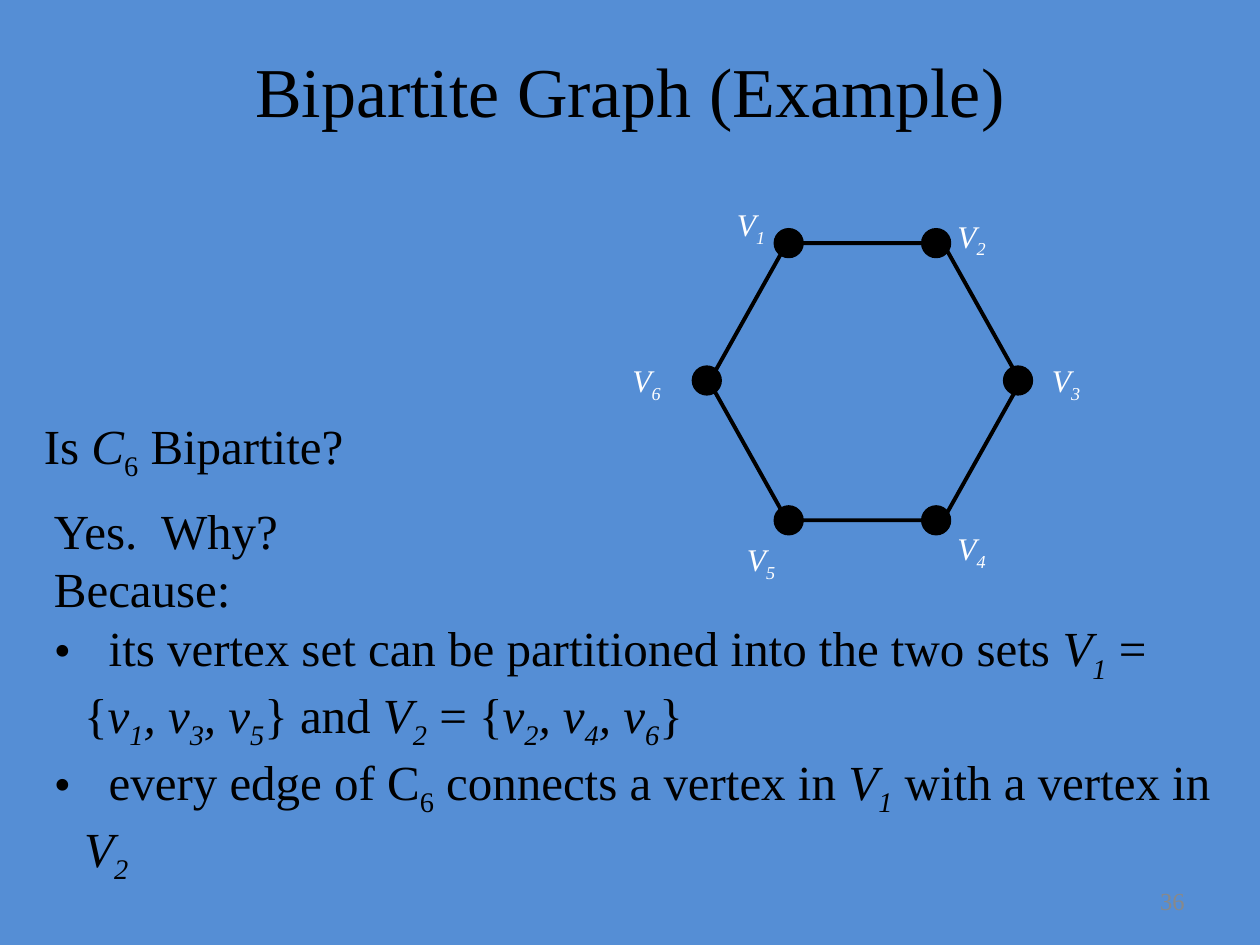
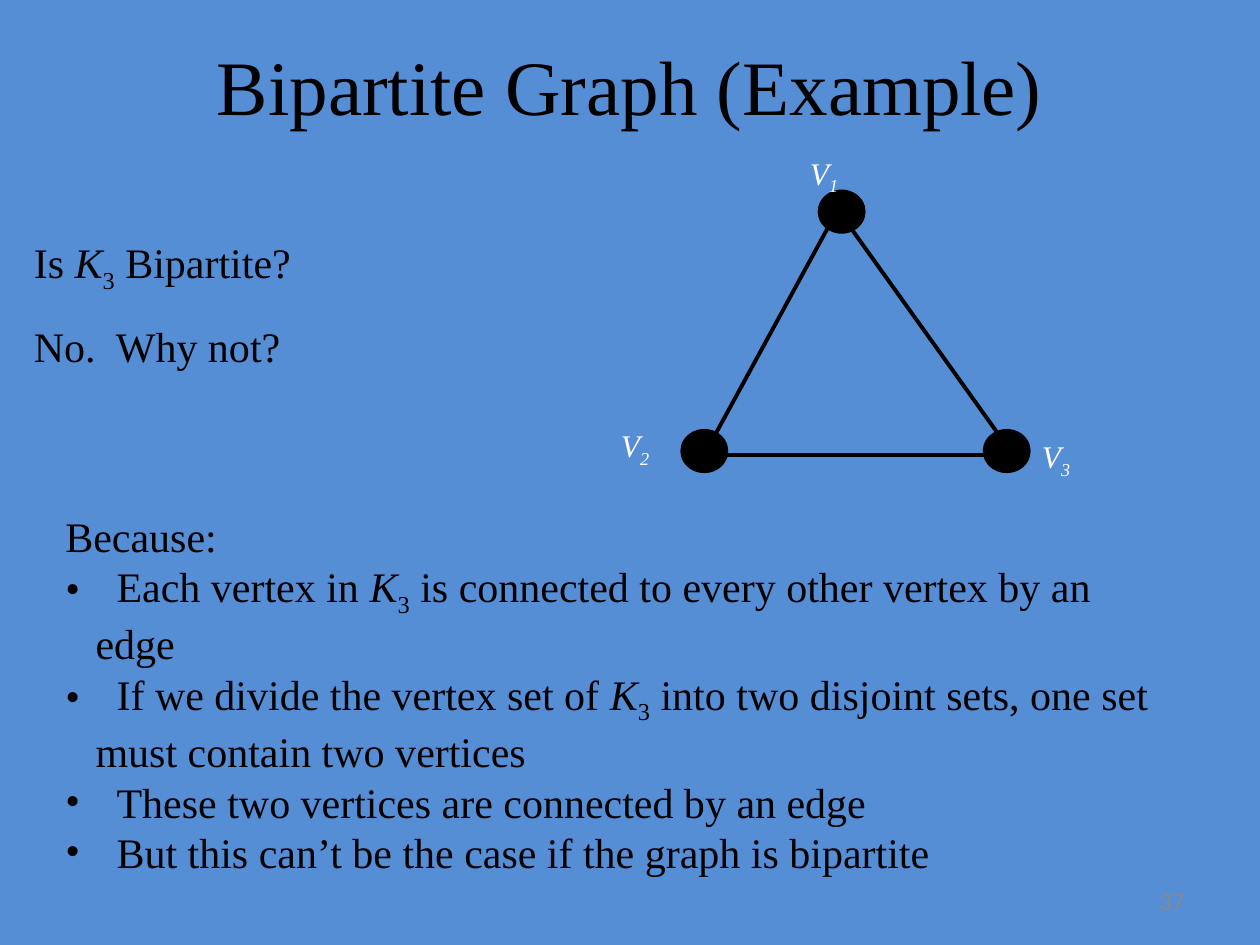
import pptx
import pptx.util
import pptx.dml.color
import pptx.enum.shapes
import pptx.enum.text
import pptx.oxml
import pptx.oxml.ns

Inches, Pt = pptx.util.Inches, pptx.util.Pt
SHAPE = pptx.enum.shapes.MSO_SHAPE
ALIGN = pptx.enum.text.PP_ALIGN
ANCHOR = pptx.enum.text.MSO_ANCHOR

FONT = "Times New Roman"
BLUE, BLACK, WHITE, GRAY = "558ED5", "000000", "FFFFFF", "898989"
TITLE = "Bipartite Graph (Example)"
HANG = 0.24

# In texts, * switches italics and _ lowers the next character; a leading • makes a bullet.
# Nodes are (centre, label corner), numbered from 1.
SLIDES = [
    {
        "title": (40, 1.08),
        "number": ("36", FONT),
        "texts": [
            ((0.25, 3.25, 4.21, 0.63), 28, 0, ["Is *C*_6 Bipartite?"]),
            ((0.33, 3.92, 9.42, 3.16), 28, 0, [
                "Yes.  Why?",
                "Because:",
                "•its vertex set can be partitioned into the two sets *V_1* = "
                "{*v_1, v_3, v_5*} and *V_2* = {*v_2, v_4, v_6*}",
                "•every edge of C_6 connects a vertex in *V_1* with a vertex in *V_2*",
            ]),
        ],
        "hexagon": (5.63, 1.93, 2.47, 2.2),
        "edges": [],
        "node": (0.23, 0.23),
        "nodes": [
            ((6.26, 1.93), (5.75, 1.58)),
            ((7.43, 1.93), (7.5, 1.67)),
            ((8.08, 3.02), (8.25, 2.82)),
            ((7.43, 4.13), (7.5, 4.15)),
            ((6.26, 4.13), (5.83, 4.24)),
            ((5.61, 3.02), (4.92, 2.82)),
        ],
    },
    {
        "title": (44, 1),
        "number": ("37", "Calibri"),
        "texts": [
            ((0.17, 1.83, 3.79, 1.17), 24, 15, ["Is *K*_3 Bipartite?", "No.  Why not?"]),
            ((0.42, 4, 8.92, 3.01), 24, 0, [
                "Because:",
                "•Each vertex in *K*_3 is connected to every other vertex by an edge",
                "•If we divide the vertex set of *K*_3 into two disjoint sets, "
                "one set must contain two vertices",
                "•These two vertices are connected by an edge",
                "•But this can’t be the case if the graph is bipartite",
            ]),
        ],
        "hexagon": None,
        "edges": [
            ((5.77, 3.61), (8.16, 3.61)),
            ((5.66, 3.48), (6.64, 1.68)),
            ((6.71, 1.75), (8.02, 3.58)),
        ],
        "node": (0.37, 0.34),
        "nodes": [
            ((6.68, 1.68), (6.33, 1.17)),
            ((5.59, 3.58), (4.83, 3.33)),
            ((7.99, 3.58), (8.17, 3.42)),
        ],
    },
]


def color(code):
    return pptx.dml.color.RGBColor.from_string(code)


def inches(values):
    return [Inches(v) for v in values]


def split(text):
    """Yield (text, italic, lowered) pieces of a marked text."""
    italic = False
    for part in text.split("*"):
        plain, *rest = part.split("_")
        pieces = [(plain, False)]
        for item in rest:
            pieces += [(item[0], True), (item[1:], False)]
        for piece, low in pieces:
            if piece:
                yield piece, italic, low
        italic = not italic


def bullet(para, size):
    """Hang the paragraph and push its first line in by two spaces' width."""
    props = para._p.get_or_add_pPr()
    props.set("marL", str(Inches(HANG)))
    props.set("indent", str(-Inches(HANG)))
    space = size / 144
    # One stop counts from the margin, the other from the box edge.
    stops = "".join(f'<a:tab pos="{Inches(x)}" algn="l"/>' for x in (space, HANG + space))
    names = pptx.oxml.ns.nsdecls("a")
    for tag in (
        f'<a:buClr {names}><a:srgbClr val="{BLACK}"/></a:buClr>',
        f'<a:buFont {names} typeface="{FONT}"/>',
        f'<a:buChar {names} char="•"/>',
        f"<a:tabLst {names}>{stops}</a:tabLst>",
    ):
        props.append(pptx.oxml.parse_xml(tag))


def write(frame, lines, size=18, code=BLACK, font=FONT, align=ALIGN.LEFT, gap=0):
    frame.word_wrap = True
    for i, line in enumerate(lines):
        para = frame.add_paragraph() if i else frame.paragraphs[0]
        para.alignment = align
        if i and gap:
            para.space_before = Pt(gap)
        if line.startswith("•"):
            bullet(para, size)
            line = "\t" + line[1:]
        for text, italic, low in split(line):
            run = para.add_run()
            run.text = text
            run.font.size, run.font.name = Pt(size), font
            run.font.italic = italic
            run.font.color.rgb = color(code)
            if low:
                run._r.get_or_add_rPr().set("baseline", "-25000")


def label(slide, box, lines, **format):
    shape = slide.shapes.add_textbox(*inches(box))
    write(shape.text_frame, lines, **format)
    return shape


def stroke(shape, width):
    shape.line.color.rgb = color(BLACK)
    shape.line.width = Pt(width)


def draw(slide, kind, box, width):
    shape = slide.shapes.add_shape(kind, *inches(box))
    shape.shadow.inherit = False
    stroke(shape, width)
    return shape


def graph(slide, data):
    if data["hexagon"]:
        ring = draw(slide, SHAPE.HEXAGON, data["hexagon"], 2.25)
        ring.adjustments[0] = 0.28
        ring.fill.background()
    for start, end in data["edges"]:
        edge = slide.shapes.add_connector(
            pptx.enum.shapes.MSO_CONNECTOR.STRAIGHT, *inches(start + end))
        stroke(edge, 2.25)
        edge._element.spPr.append(
            pptx.oxml.parse_xml(f'<a:effectLst {pptx.oxml.ns.nsdecls("a")}/>'))
    wide, high = data["node"]
    for num, ((x, y), corner) in enumerate(data["nodes"], 1):
        dot = draw(slide, SHAPE.OVAL, (x - wide / 2, y - high / 2, wide, high), 0.75)
        dot.fill.solid()
        dot.fill.fore_color.rgb = color(BLACK)
        label(slide, corner + (0.58, 0.44), [f"*V_{num}*"], code=WHITE)


def build(deck, data):
    slide = deck.slides.add_slide(deck.slide_layouts[5])
    size, high = data["title"]
    title = slide.shapes.title
    title.left, title.top, title.width, title.height = inches((0.5, 0.17, 9, high))
    title.text_frame.vertical_anchor = ANCHOR.MIDDLE
    write(title.text_frame, [TITLE], size=size, align=ALIGN.CENTER)
    for box, size, gap, lines in data["texts"]:
        label(slide, box, lines, size=size, gap=gap)
    graph(slide, data)
    num, font = data["number"]
    foot = label(slide, (7.17, 6.95, 2.33, 0.4), [num],
                 size=14, code=GRAY, font=font, align=ALIGN.RIGHT)
    foot.text_frame.vertical_anchor = ANCHOR.MIDDLE


def main():
    deck = pptx.Presentation()
    deck.slide_width, deck.slide_height = inches((10, 7.5))
    fill = deck.slide_master.background.fill
    fill.solid()
    fill.fore_color.rgb = color(BLUE)
    for data in SLIDES:
        build(deck, data)
    deck.save("out.pptx")


if __name__ == "__main__":
    main()
